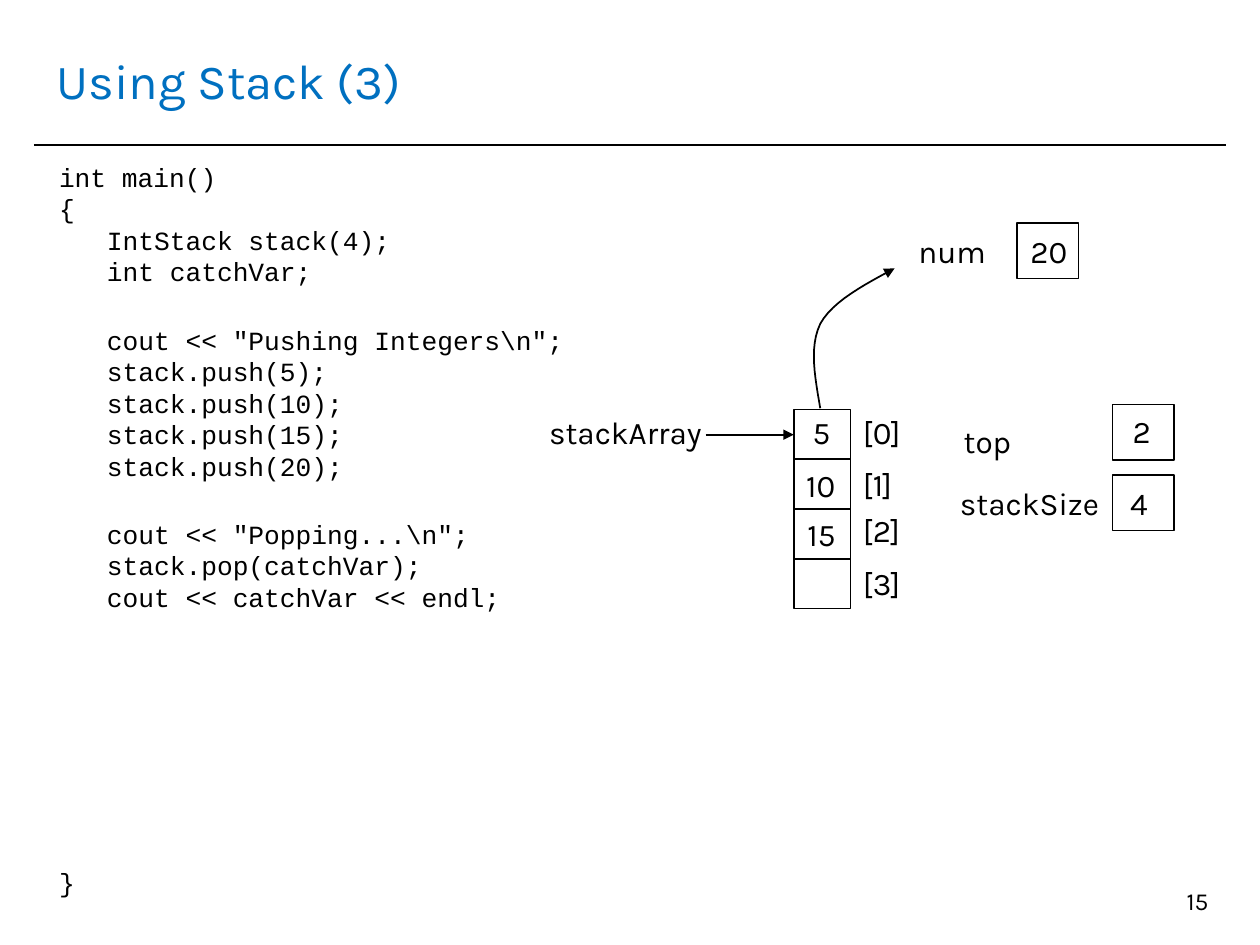
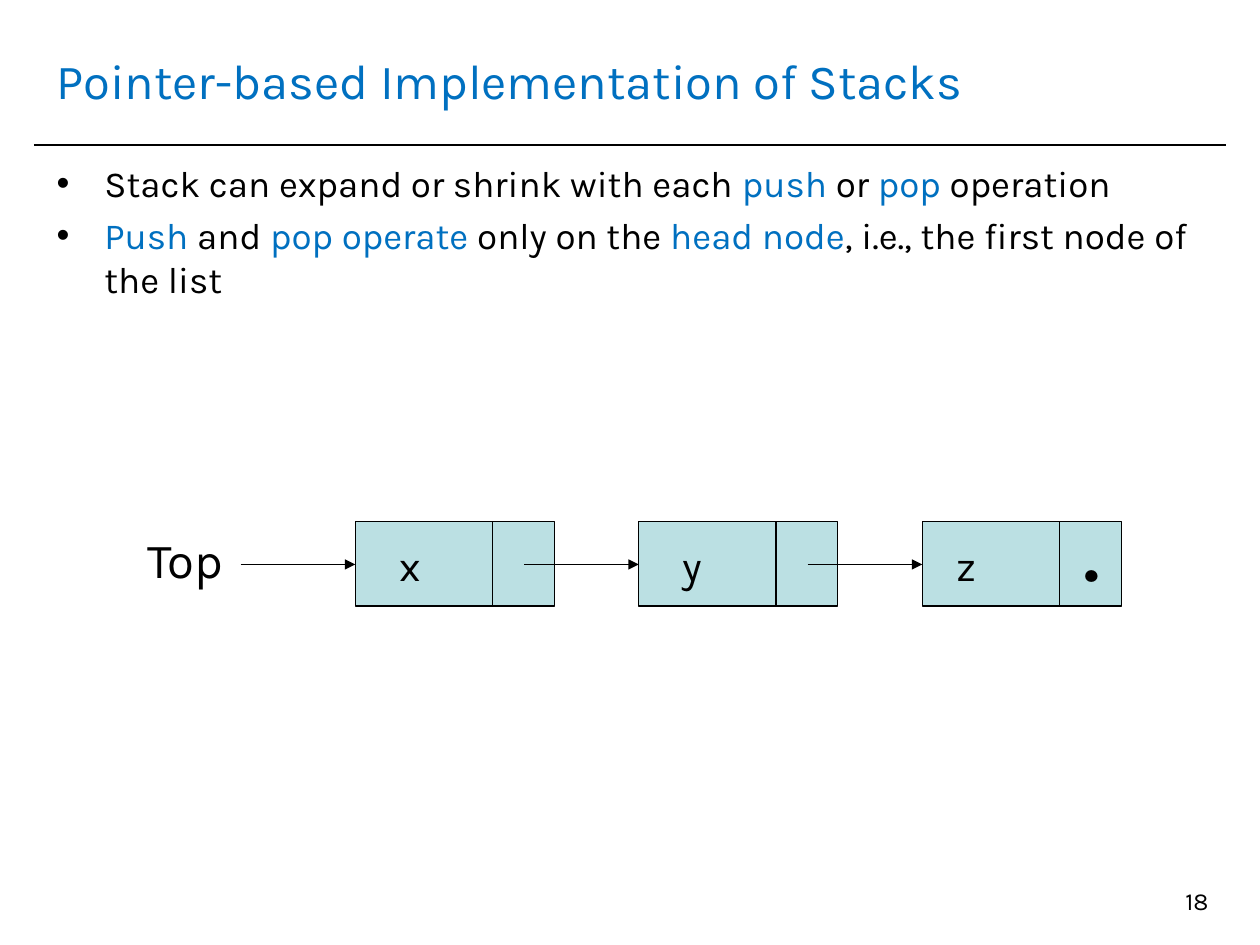
from dataclasses import dataclass

from lxml import etree
from pptx import Presentation
from pptx import util as u
from pptx.dml.color import RGBColor
from pptx.enum import shapes, text
from pptx.oxml import ns


@dataclass(frozen=True)
class Theme:
    ink: str = "000000"
    accent: str = "0070C0"
    node: str = "BBE0E3"
    font: str = "Karla"
    code_font: str = "Courier New"
    title_size: float = 28
    body_size: float = 21
    code_size: float = 15
    code_pitch: float = 18
    label_size: float = 18
    node_size: float = 24
    dot_size: float = 60
    number_size: float = 14
    line: float = 1
    thin_line: float = 0.75


THEME = Theme()


def add_runs(paragraph, content, size, font, color):
    pieces = [(content, color)] if isinstance(content, str) else content
    for words, run_color in pieces:
        for index, line in enumerate(words.split("\n")):
            if index:
                paragraph.add_line_break()
            run = paragraph.add_run()
            run.text = line
            run.font.size = u.Pt(size)
            run.font.name = font
            run.font.color.rgb = RGBColor.from_string(run_color)


def add_text(slide, paragraphs, left, top, width, height, *, size=THEME.label_size,
             font=THEME.font, color=THEME.ink, align=text.PP_ALIGN.LEFT,
             anchor=text.MSO_ANCHOR.TOP):
    box = slide.shapes.add_textbox(*map(u.Inches, (left, top, width, height)))
    frame = box.text_frame
    frame.word_wrap = True
    frame.vertical_anchor = anchor
    if isinstance(paragraphs, str):
        paragraphs = [paragraphs]
    for index, content in enumerate(paragraphs):
        paragraph = frame.add_paragraph() if index else frame.paragraphs[0]
        paragraph.alignment = align
        add_runs(paragraph, content, size, font, color)
    return frame


def set_indent(paragraph, left, first=0.0):
    properties = paragraph._p.get_or_add_pPr()
    properties.set("marL", str(u.Inches(left)))
    properties.set("indent", str(u.Inches(first)))
    return properties


def style_line(shape, width, arrow=False):
    shape.line.color.rgb = RGBColor.from_string(THEME.ink)
    shape.line.width = u.Pt(width)
    if arrow:
        outline = shape.line._get_or_add_ln()
        etree.SubElement(outline, ns.qn("a:tailEnd"), type="triangle")


def add_line(slide, start, end, width=THEME.line, arrow=False):
    connector = slide.shapes.add_connector(
        shapes.MSO_CONNECTOR.STRAIGHT, *map(u.Inches, (*start, *end)))
    style_line(connector, width, arrow)
    etree.SubElement(connector._element.spPr, ns.qn("a:effectLst"))


def add_box(slide, left, top, width, height, line=THEME.line, fill=None):
    box = slide.shapes.add_shape(
        shapes.MSO_SHAPE.RECTANGLE, *map(u.Inches, (left, top, width, height)))
    box.shadow.inherit = False
    if fill:
        box.fill.solid()
        box.fill.fore_color.rgb = RGBColor.from_string(fill)
    else:
        box.fill.background()
    style_line(box, line)


def bezier_points(start, first, second, end, steps=12):
    for step in range(1, steps + 1):
        t = step / steps
        weights = ((1 - t) ** 3, 3 * t * (1 - t) ** 2, 3 * t * t * (1 - t), t ** 3)
        yield tuple(
            u.Inches(sum(weight * point[axis] for weight, point
                         in zip(weights, (start, first, second, end))))
            for axis in (0, 1))


def add_curved_arrow(slide, start, *segments):
    builder = slide.shapes.build_freeform(*map(u.Inches, start))
    for first, second, end in segments:
        builder.add_line_segments(bezier_points(start, first, second, end), close=False)
        start = end
    curve = builder.convert_to_shape()
    curve.shadow.inherit = False
    curve.fill.background()
    style_line(curve, THEME.line, arrow=True)


def add_code(slide, blocks):
    frame = add_text(slide, [code for code, _, _ in blocks], 0.37, 1.23, 6.52, 5.59,
                     size=THEME.code_size, font=THEME.code_font)
    for paragraph, (_, indent, gap) in zip(frame.paragraphs, blocks):
        paragraph.line_spacing = u.Pt(THEME.code_pitch)
        paragraph.space_before = u.Pt(gap)
        set_indent(paragraph, indent)


def add_bullets(slide, items):
    frame = add_text(slide, items, 0.35, 1.23, 9.29, 5.59, size=THEME.body_size)
    for paragraph in frame.paragraphs:
        paragraph.space_before = u.Pt(0.2 * THEME.body_size)
        properties = set_indent(paragraph, 0.38, -0.38)
        color = etree.SubElement(properties, ns.qn("a:buClr"))
        etree.SubElement(color, ns.qn("a:srgbClr"), val=THEME.ink)
        etree.SubElement(properties, ns.qn("a:buFont"), typeface="Arial")
        etree.SubElement(properties, ns.qn("a:buChar"), char="•")


def add_variable(slide, name, name_at, value, value_at, box_at):
    add_text(slide, name, *name_at, 1.49, 0.4)
    add_box(slide, *box_at, 0.49, 0.44)
    add_text(slide, value, *value_at, 0.59, 0.4)


def add_stack_array(slide, values, label_tops):
    left, top, width, cell = 6.3, 3.25, 0.45, 0.395
    add_box(slide, left, top, width, cell * len(label_tops))
    for index, label_top in enumerate(label_tops):
        if index:
            divider = top + index * cell
            add_line(slide, (left, divider), (left + width, divider))
        add_text(slide, f"[{index}]", left + width, label_top, 0.71, 0.4)
    for value, value_left, value_top in values:
        add_text(slide, value, value_left, value_top, 0.49, 0.4)
    add_text(slide, "stackArray", 4.26, 3.23, 1.5, 0.4)
    add_line(slide, (5.6, 3.45), (left, 3.45), arrow=True)


def add_linked_list(slide, nodes):
    first, pitch, top, width, height = 2.82, 2.25, 4.14, 1.58, 0.67
    lefts = [first + index * pitch for index in range(len(nodes))]
    for left, (name, inset) in zip(lefts, nodes):
        add_box(slide, left, top, width, height, THEME.thin_line, THEME.node)
        add_line(slide, (left + 1.09, top), (left + 1.09, top + height), THEME.thin_line)
        add_text(slide, name, left + inset, 4.23, 0.5, 0.5, size=THEME.node_size)
    for left in lefts:
        add_line(slide, (left - 0.91, 4.48), (left, 4.48), THEME.thin_line, arrow=True)
    add_text(slide, ".", lefts[-1] + 1.17, 3.73, 0.33, 1.1, size=THEME.dot_size)
    add_text(slide, "Top", 1.07, 4.15, 1, 0.57, size=THEME.title_size)


def add_slide(presentation, title, number):
    slide = presentation.slides.add_slide(presentation.slide_layouts[6])
    add_line(slide, (0.27, 1.15), (9.73, 1.15))
    add_text(slide, title, 0.35, 0.21, 9.29, 0.85, size=THEME.title_size,
             color=THEME.accent, anchor=text.MSO_ANCHOR.MIDDLE)
    add_text(slide, str(number), 7.36, 6.98, 2.33, 0.52, size=THEME.number_size,
             align=text.PP_ALIGN.RIGHT)
    return slide


def build_using_stack(presentation):
    slide = add_slide(presentation, "Using Stack (3)", 15)
    add_code(slide, [
        ("int main()\n{", 0, 0),
        ("IntStack stack(4);\nint catchVar;", 0.38, 0),
        ('cout << "Pushing Integers\\n";\nstack.push(5);\nstack.push(10);\n'
         "stack.push(15);\nstack.push(20);", 0.38, 21),
        ('cout << "Popping...\\n";\nstack.pop(catchVar);\n'
         "cout << catchVar << endl;", 0.38, 21),
        ("}", 0, 145),
    ])
    add_stack_array(
        slide,
        values=[("5", 6.35, 3.23), ("10", 6.3, 3.65), ("15", 6.31, 4.04)],
        label_tops=[3.23, 3.64, 4.01, 4.43])
    add_variable(slide, "top", (7.55, 3.3), "2", (8.89, 3.22), (8.83, 3.21))
    add_variable(slide, "stackSize", (7.52, 3.79), "4", (8.87, 3.79), (8.83, 3.77))
    add_variable(slide, "num", (7.19, 1.79), "20", (8.08, 1.79), (8.07, 1.77))
    add_curved_arrow(slide, (6.51, 3.24),
                     ((6.47, 3), (6.42, 2.76), (6.51, 2.57)),
                     ((6.61, 2.39), (6.86, 2.26), (7.1, 2.13)))


def build_pointer_stack(presentation):
    slide = add_slide(presentation, "Pointer-based Implementation of Stacks", 18)
    ink, accent = THEME.ink, THEME.accent
    add_bullets(slide, [
        [("Stack can expand or shrink with each ", ink), ("push", accent),
         (" or ", ink), ("pop", accent), (" operation", ink)],
        [("Push", accent), (" and ", ink), ("pop operate", accent),
         (" only on the ", ink), ("head node", accent),
         (", i.e., the first node of the list", ink)],
    ])
    add_linked_list(slide, [("x", 0.25), ("y", 0.25), ("z", 0.17)])


def main():
    presentation = Presentation()
    presentation.slide_width = u.Inches(10)
    presentation.slide_height = u.Inches(7.5)
    build_using_stack(presentation)
    build_pointer_stack(presentation)
    presentation.save("out.pptx")


if __name__ == "__main__":
    main()
